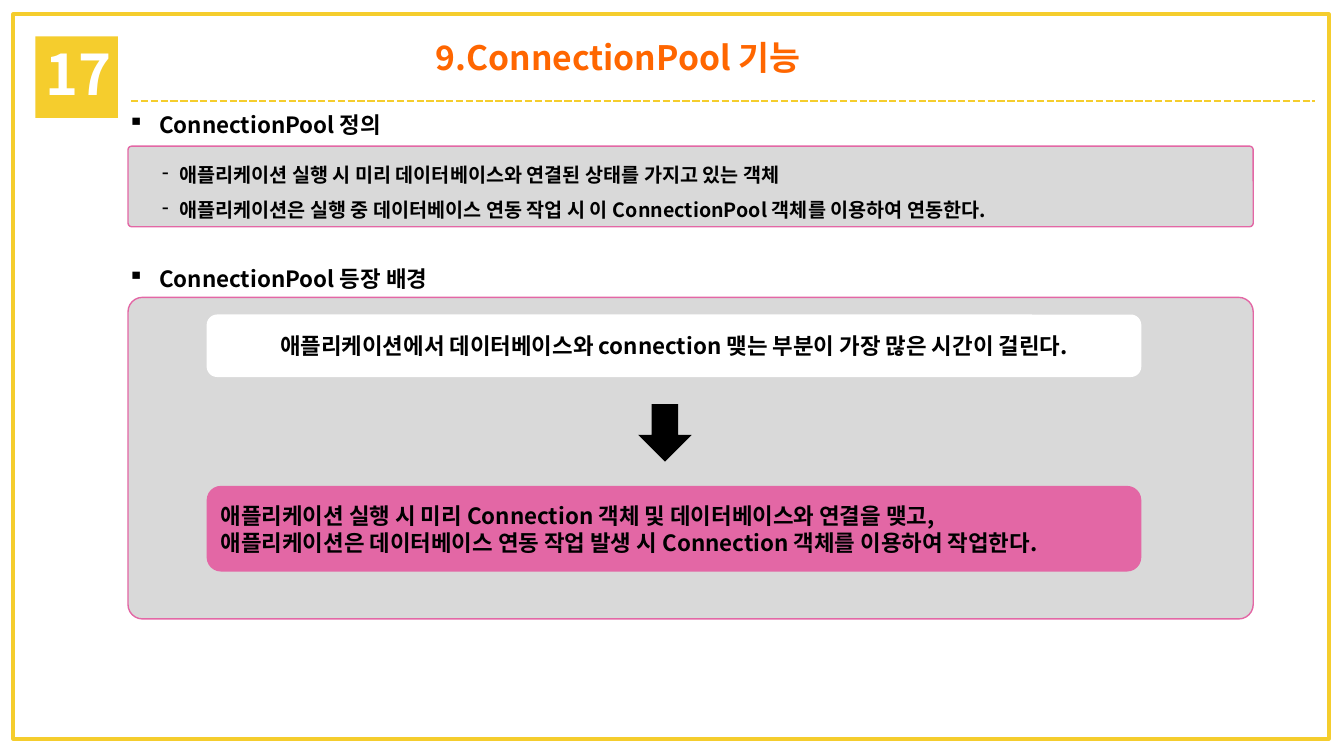
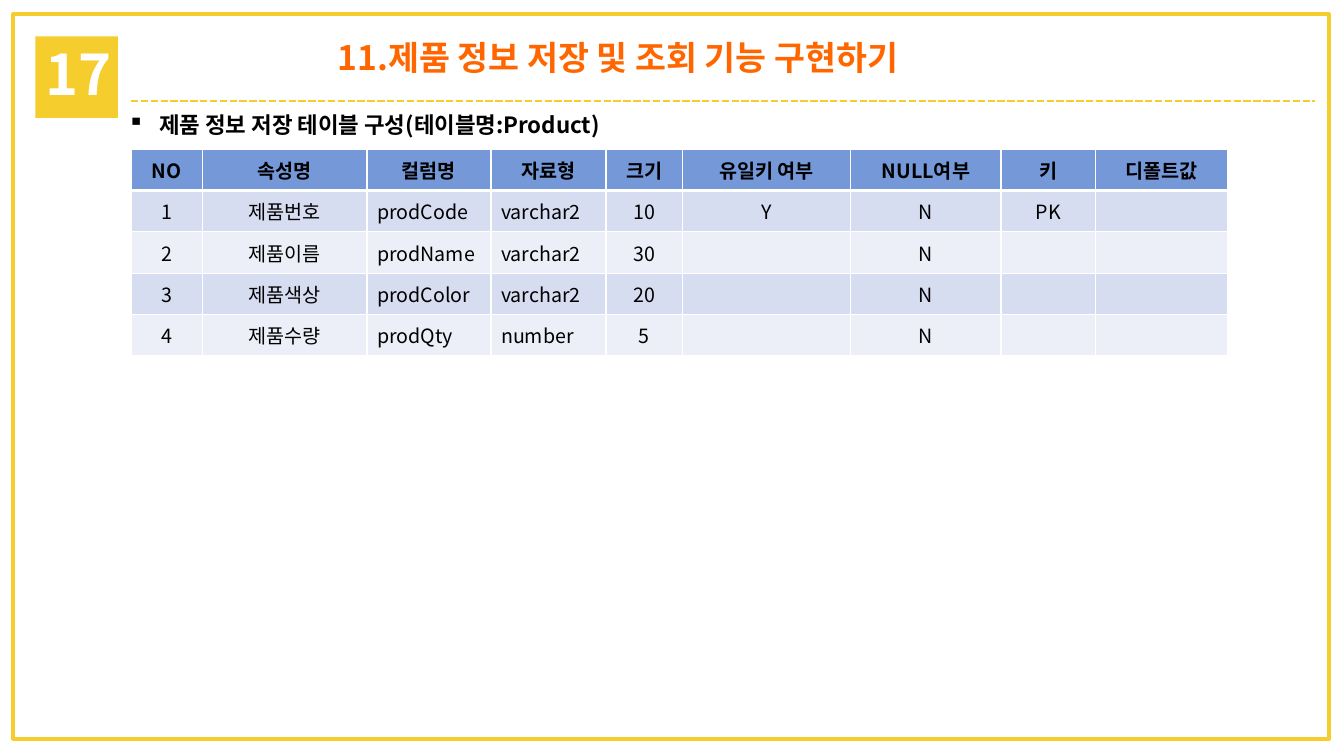
"""Builds two slides on connection pooling and a product table."""
from lxml import etree
from pptx import Presentation
from pptx import util as u
from pptx.dml.color import RGBColor
from pptx.enum import dml, shapes, text
from pptx.oxml import ns

PX = 9144
FONT = "Noto Sans CJK KR"
COLORS = {
    "yellow": "F5CD2D", "orange": "FF6600", "pink": "E367A5", "gray": "D9D9D9",
    "black": "000000", "white": "FFFFFF",
    "header": "7598D9", "odd": "D6DDF1", "even": "ECEFF8",
}
CENTER = text.PP_ALIGN.CENTER
LEFT = text.PP_ALIGN.LEFT
ROUNDED = shapes.MSO_SHAPE.ROUNDED_RECTANGLE
COLUMN_WIDTHS = [71, 163, 123, 114, 76, 167, 149, 94, 131]
ROW_HEIGHT = 41
TEXT_COLUMNS = (2, 3)
PRODUCT_ROWS = [
    ["NO", "속성명", "컬럼명", "자료형", "크기", "유일키 여부", "NULL여부", "키", "디폴트값"],
    ["1", "제품번호", "prodCode", "varchar2", "10", "Y", "N", "PK", ""],
    ["2", "제품이름", "prodName", "varchar2", "30", "", "N", "", ""],
    ["3", "제품색상", "prodColor", "varchar2", "20", "", "N", "", ""],
    ["4", "제품수량", "prodQty", "number", "5", "", "N", "", ""],
]


def emu(*lengths):
    return [u.Emu(length * PX) for length in lengths]


def rgb(name):
    return RGBColor.from_string(COLORS[name])


def child(parent, tag, **attributes):
    return etree.SubElement(parent, ns.qn(tag), attributes)


def add_bullet(para, mark, indent, hang):
    props = para._p.get_or_add_pPr()
    props.set("marL", str(indent * PX))
    props.set("indent", str(-hang * PX))
    child(props, "a:buChar", char=mark)


def style_para(para, size, color="black", bold=True, align=LEFT):
    para.alignment = align
    font = para.font
    font.size, font.bold, font.name = u.Pt(size), bold, FONT
    font.color.rgb = rgb(color)
    child(font._element, "a:ea", typeface=FONT)


def write_lines(frame, lines, size, color="black", align=LEFT, bullet=None, spacing=None):
    frame.word_wrap = True
    for index, line in enumerate(lines):
        para = frame.add_paragraph() if index else frame.paragraphs[0]
        para.text = line
        if bullet:
            add_bullet(para, *bullet)
        if spacing:
            para.line_spacing = spacing
        style_para(para, size, color, align=align)


def add_text(page, at, lines, size, **style):
    frame = page.shapes.add_textbox(*emu(*at)).text_frame
    write_lines(frame, lines, size, **style)
    frame.auto_size = text.MSO_AUTO_SIZE.SHAPE_TO_FIT_TEXT


def add_panel(page, kind, at, fill=None, line=None, width=1, corner=None):
    panel = page.shapes.add_shape(kind, *emu(*at))
    panel.shadow.inherit = False
    if fill:
        panel.fill.solid()
        panel.fill.fore_color.rgb = rgb(fill)
    else:
        panel.fill.background()
    if line:
        panel.line.color.rgb = rgb(line)
        panel.line.width = u.Pt(width)
    else:
        panel.line.fill.background()
    if corner is not None:
        panel.adjustments[0] = corner
    return panel


def add_section_panel(page, top, height):
    add_panel(page, ROUNDED, (127, top, 1116, height), "gray", "pink", corner=0.045)


def add_message(page, top, height, fill, lines, align=LEFT):
    box = add_panel(page, ROUNDED, (205, top, 927, height), fill)
    box.text_frame.vertical_anchor = text.MSO_ANCHOR.MIDDLE
    write_lines(box.text_frame, lines, 16, align=align)


def add_heading(page, top, heading):
    add_text(page, (117, top, 1048, 37), [heading], 16, bullet=("▪", 31, 31))


def add_divider(page):
    divider = page.shapes.add_connector(
        shapes.MSO_CONNECTOR.STRAIGHT, *emu(130, 100, 1304, 100))
    divider.line.color.rgb = rgb("yellow")
    divider.line.width = u.Pt(1.75)
    divider.line.dash_style = dml.MSO_LINE.SQUARE_DOT
    child(divider._element.spPr, "a:effectLst")


def add_page(deck, title):
    page = deck.slides.add_slide(deck.slide_layouts[6])
    rectangle = shapes.MSO_SHAPE.RECTANGLE
    add_panel(page, rectangle, (13, 14, 1305, 719), line="yellow", width=2.5)
    add_panel(page, rectangle, (35, 36, 82, 81), "yellow")
    add_text(page, (35, 34, 97, 77), ["17"], 40, color="white")
    add_divider(page)
    add_text(page, (143, 32, 940, 50), [title], 24, color="orange", align=CENTER)
    return page


def set_borders(cell, bottom):
    props = cell._tc.get_or_add_tcPr()
    for index, (side, width) in enumerate(
            [("lnL", 1), ("lnR", 1), ("lnT", 1), ("lnB", bottom)]):
        border = etree.Element(ns.qn(f"a:{side}"), w=str(u.Pt(width)))
        child(child(border, "a:solidFill"), "a:srgbClr", val=COLORS["white"])
        props.insert(index, border)


def fill_cell(cell, value, header, fill, align):
    cell.fill.solid()
    cell.fill.fore_color.rgb = rgb(fill)
    cell.vertical_anchor = text.MSO_ANCHOR.MIDDLE
    cell.margin_top = cell.margin_bottom = 0
    cell.text = value
    style_para(cell.text_frame.paragraphs[0], 14, bold=header, align=align)
    set_borders(cell, 3 if header else 1)


def add_product_table(page):
    frame = page.shapes.add_table(
        len(PRODUCT_ROWS), len(COLUMN_WIDTHS),
        *emu(130, 148, sum(COLUMN_WIDTHS), ROW_HEIGHT * len(PRODUCT_ROWS)))
    table = frame.table
    for column, width in zip(table.columns, COLUMN_WIDTHS):
        column.width = u.Emu(width * PX)
    for row, values in enumerate(PRODUCT_ROWS):
        header = row == 0
        fill = "header" if header else ("even", "odd")[row % 2]
        for column, value in enumerate(values):
            align = LEFT if column in TEXT_COLUMNS and not header else CENTER
            fill_cell(table.cell(row, column), value, header, fill, align)


def build_pool_page(deck):
    page = add_page(deck, "9.ConnectionPool 기능")
    add_heading(page, 105, "ConnectionPool 정의")
    add_section_panel(page, 145, 80)
    add_text(page, (143, 145, 1051, 76), [
        "애플리케이션 실행 시 미리 데이터베이스와 연결된 상태를 가지고 있는 객체",
        "애플리케이션은 실행 중 데이터베이스 연동 작업 시 이 ConnectionPool 객체를 이용하여 연동한다.",
    ], 14, bullet=("-", 25, 17), spacing=1.5)
    add_heading(page, 258, "ConnectionPool 등장 배경")
    add_section_panel(page, 295, 319)
    add_message(page, 312, 62, "white", [
        "애플리케이션에서 데이터베이스와 connection 맺는 부분이 가장 많은 시간이 걸린다.",
    ], CENTER)
    add_message(page, 482, 85, "pink", [
        "애플리케이션 실행 시 미리 Connection 객체 및 데이터베이스와 연결을 맺고,",
        "애플리케이션은 데이터베이스 연동 작업 발생 시 Connection 객체를 이용하여 작업한다.",
    ])
    add_panel(page, shapes.MSO_SHAPE.DOWN_ARROW, (633, 401, 53, 57), "black")


def build_product_page(deck):
    page = add_page(deck, "11.제품 정보 저장 및 조회 기능 구현하기")
    add_heading(page, 105, "제품 정보 저장 테이블 구성(테이블명:Product)")
    add_product_table(page)


def main():
    deck = Presentation()
    deck.slide_width, deck.slide_height = emu(1333, 750)
    build_pool_page(deck)
    build_product_page(deck)
    deck.save("out.pptx")


if __name__ == "__main__":
    main()
